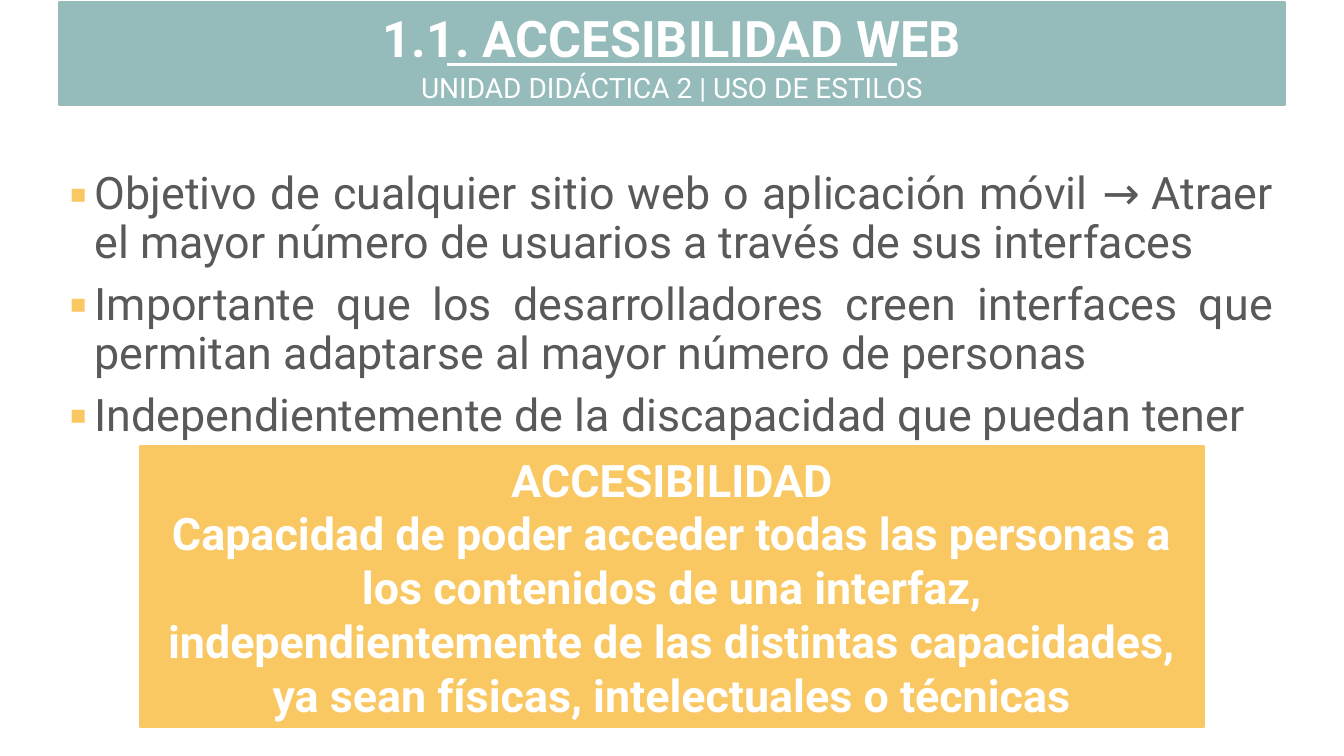
from lxml.etree import SubElement
from pptx import Presentation
from pptx.dml.color import RGBColor
from pptx.enum.shapes import MSO_CONNECTOR, MSO_SHAPE
from pptx.enum.text import MSO_ANCHOR as Anchor, PP_ALIGN as Align
from pptx.oxml.ns import qn
from pptx.util import Inches, Pt

TEAL = RGBColor(0x95, 0xBB, 0xBA)
YELLOW = RGBColor(0xFA, 0xC8, 0x63)
GRAY = RGBColor(0x59, 0x59, 0x59)
WHITE = RGBColor(0xFF, 0xFF, 0xFF)

MARGIN, CONTENT_WIDTH = 0.59, 12.15

OBJECTIVES = [
    "Objetivo de cualquier sitio web o aplicación móvil → Atraer el mayor número de usuarios a través de sus interfaces",
    "Importante que los desarrolladores creen interfaces que permitan adaptarse al mayor número de personas",
    "Independientemente de la discapacidad que puedan tener",
]
DEFINITION = [
    "ACCESIBILIDAD",
    "Capacidad de poder acceder todas las personas a los contenidos de una interfaz, "
    "independientemente de las distintas capacidades, ya sean físicas, intelectuales o técnicas",
]


def write_text(frame, lines, size=32, color=WHITE, bold=False, align=Align.CENTER, anchor=Anchor.MIDDLE):
    frame.word_wrap = True
    frame.vertical_anchor = anchor
    for index, line in enumerate(lines):
        paragraph = frame.add_paragraph() if index else frame.paragraphs[0]
        paragraph.alignment = align
        run = paragraph.add_run()
        run.text = line
        run.font.name = "Roboto"
        run.font.size = Pt(size)
        run.font.bold = bold
        run.font.color.rgb = color


class SlideBuilder:
    def __init__(self, slide):
        self.slide = slide

    def box(self, left, top, width, height, color, lines, **text_format):
        shape = self.slide.shapes.add_shape(
            MSO_SHAPE.RECTANGLE, Inches(left), Inches(top), Inches(width), Inches(height))
        shape.shadow.inherit = False
        shape.fill.solid()
        shape.fill.fore_color.rgb = color
        shape.line.color.rgb = color
        shape.line.width = Pt(1.5)
        write_text(shape.text_frame, lines, **text_format)

    def rule(self, left, right, top):
        connector = self.slide.shapes.add_connector(
            MSO_CONNECTOR.STRAIGHT, Inches(left), Inches(top), Inches(right), Inches(top))
        connector.line.color.rgb = WHITE
        connector.line.width = Pt(2.25)
        SubElement(connector._element.spPr, qn("a:effectLst"))

    def bullets(self, left, top, width, height, lines):
        frame = self.slide.shapes.add_textbox(
            Inches(left), Inches(top), Inches(width), Inches(height)).text_frame
        write_text(frame, lines, color=GRAY, align=Align.JUSTIFY, anchor=Anchor.TOP)
        for paragraph in frame.paragraphs:
            paragraph.line_spacing = 0.9
            paragraph.space_before = Pt(10)
            properties = paragraph._p.get_or_add_pPr()
            properties.set("marL", str(Inches(0.25)))
            properties.set("indent", str(-Inches(0.25)))
            bullet_color = SubElement(properties, qn("a:buClr"))
            SubElement(bullet_color, qn("a:srgbClr"), val=str(YELLOW))
            SubElement(properties, qn("a:buFont"), typeface="Roboto")
            SubElement(properties, qn("a:buChar"), char="▪")


def main():
    presentation = Presentation()
    presentation.slide_width = Inches(13.33)
    presentation.slide_height = Inches(7.5)
    builder = SlideBuilder(presentation.slides.add_slide(presentation.slide_layouts[6]))

    builder.box(MARGIN, 0.02, CONTENT_WIDTH, 1.01, TEAL, ["1.1. ACCESIBILIDAD WEB"],
                size=36, bold=True, anchor=Anchor.TOP)
    builder.box(MARGIN, 0.69, CONTENT_WIDTH, 0.35, TEAL, ["UNIDAD DIDÁCTICA 2 | USO DE ESTILOS"], size=20)
    builder.rule(4.43, 8.9, 0.64)
    builder.bullets(MARGIN, 1.65, CONTENT_WIDTH, 5.56, OBJECTIVES)
    builder.box(1.39, 4.43, 10.55, 2.78, YELLOW, DEFINITION, bold=True)

    presentation.save("out.pptx")


if __name__ == "__main__":
    main()
